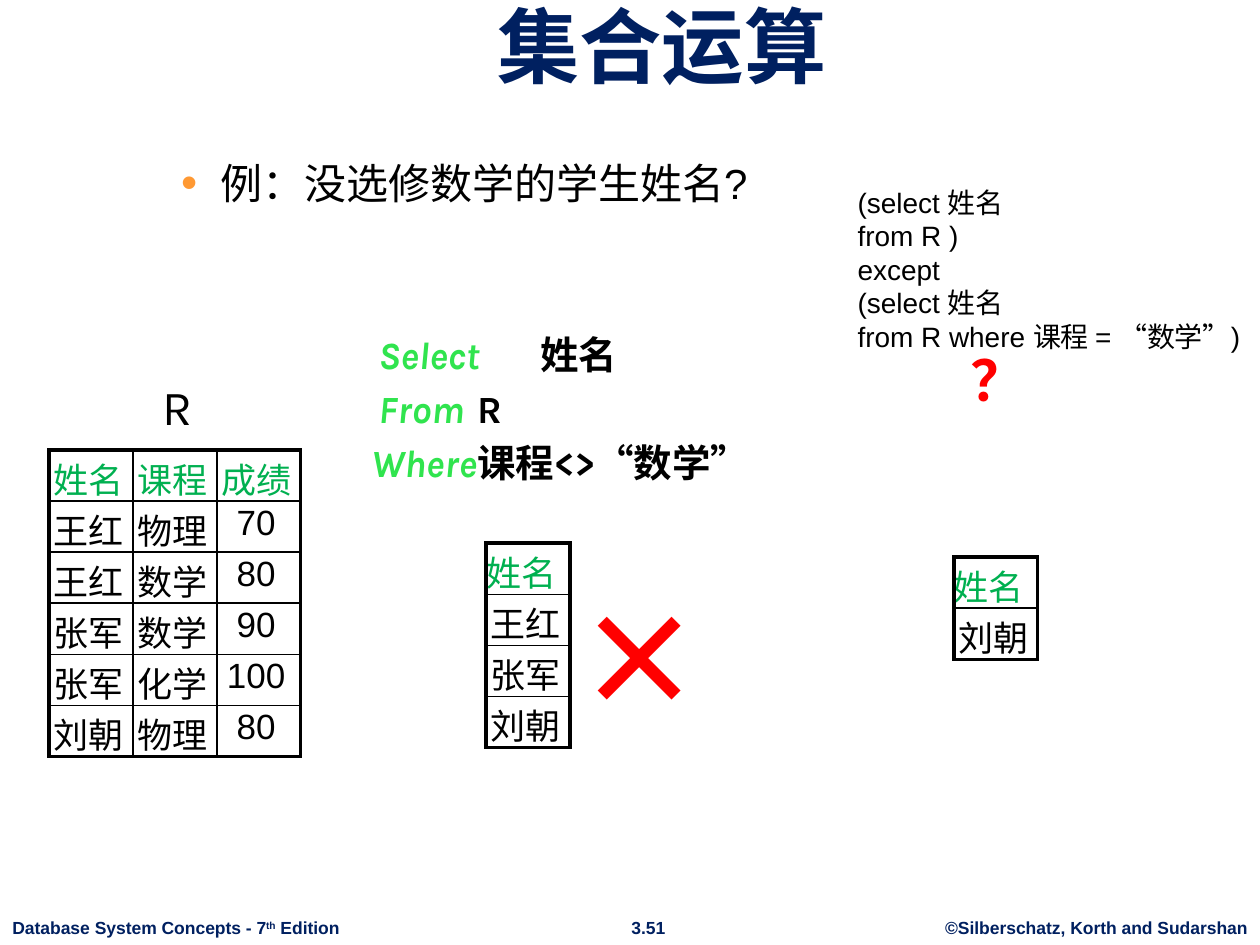
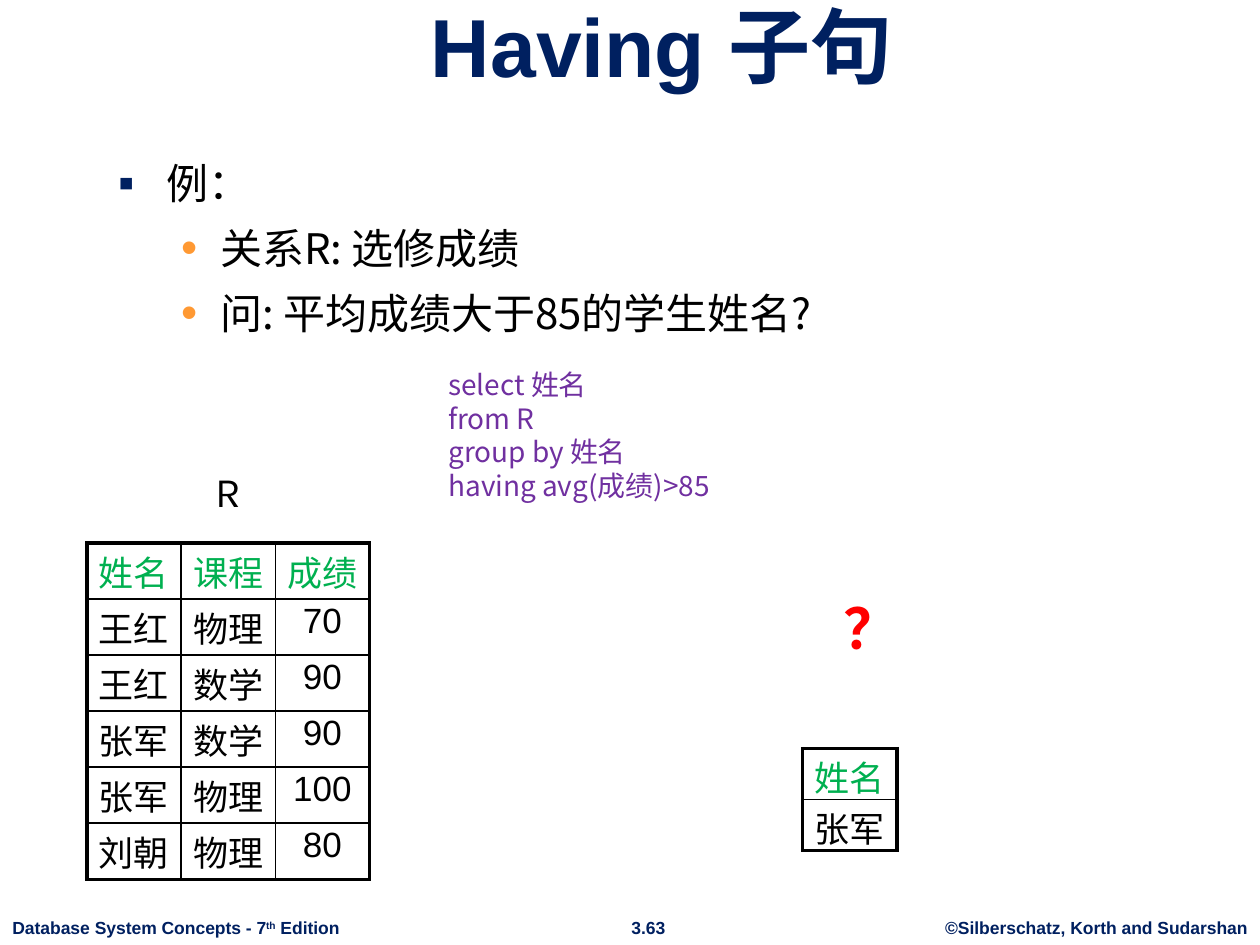
from lxml import etree
from pptx import Presentation
from pptx.dml.color import RGBColor
from pptx.enum.text import MSO_ANCHOR, PP_ALIGN
from pptx.oxml.ns import qn
from pptx.util import Cm, Pt

LEFT, CENTER = PP_ALIGN.LEFT, PP_ALIGN.CENTER
BOTTOM = MSO_ANCHOR.BOTTOM

COLORS = {
    "navy": "002060", "orange": "FF9933", "black": "000000", "white": "FFFFFF",
    "header": "00B050", "keyword": "30E44E", "red": "FF0000", "purple": "7030A0",
}
SANS, ACCENT, CJK, SERIF = "Arial", "Karla", "Noto Sans CJK SC", "Times New Roman"
TITLE_BOX = (2.13, 0.33, 22.43, 1.7)
BODY_BOX = (2.13, 3.05, 21.41, 13.61)
BULLETS = [("▪", "navy", 0.97, 0.97), ("•", "orange", 2.06, 0.79)]
OUTER_LINE, INNER_LINE = Pt(2.25), Pt(1)
ROW_HEIGHT = 1.03


def rgb(name):
    return RGBColor.from_string(COLORS[name])


def add_run(paragraph, text, size, color, font=SANS, bold=False, italic=False):
    run = paragraph.add_run()
    run.text = text
    run.font.name = font
    run.font.size = Pt(size)
    run.font.bold = bold
    run.font.italic = italic
    run.font.color.rgb = rgb(color)
    return run


def place(shape, box):
    shape.left, shape.top, shape.width, shape.height = map(Cm, box)


def add_text_box(slide, box, wrap=True):
    shape = slide.shapes.add_textbox(*map(Cm, box))
    shape.text_frame.word_wrap = wrap
    return shape.text_frame


def next_paragraph(frame, index):
    return frame.add_paragraph() if index else frame.paragraphs[0]


def add_label(slide, box, text, size, color, font=ACCENT, bold=False,
              space=0.5, align=CENTER, wrap=True):
    frame = add_text_box(slide, box, wrap)
    paragraph = frame.paragraphs[0]
    paragraph.alignment = align
    paragraph.space_before = Pt(size * space)
    add_run(paragraph, text, size, color, font, bold)
    return frame


def add_question_mark(slide, left, top):
    frame = add_label(slide, (left, top, 1.65, 1.65), "？", 32, "red",
                      bold=True, space=0.3, wrap=False)
    frame.paragraphs[0].line_spacing = 1.15


def add_title(slide, text):
    title = slide.shapes.title
    place(title, TITLE_BOX)
    frame = title.text_frame
    frame.vertical_anchor = BOTTOM
    frame.paragraphs[0].alignment = CENTER
    add_run(frame.paragraphs[0], text, 47, "navy", bold=True)


def add_footer(slide, number):
    top, height = 18.36, 0.69
    book = add_label(slide, (0, top, 7.14, height), "Database System Concepts - 7",
                     10, "navy", SANS, True, align=LEFT, wrap=False).paragraphs[0]
    ordinal = add_run(book, "th", 10, "navy", bold=True)
    ordinal.font._element.set("baseline", "30000")
    add_run(book, " Edition", 10, "navy", bold=True)
    for left, width, text in [(12.45, 1.24, number),
                              (18.8, 6.6, "©Silberschatz, Korth and Sudarshan")]:
        add_label(slide, (left, top, width, height), text, 10, "navy", SANS,
                  True, wrap=False)


def set_bullet(paragraph, level):
    character, color, margin, hanging = BULLETS[level]
    properties = paragraph._p.get_or_add_pPr()
    properties.set("marL", str(Cm(margin)))
    properties.set("indent", str(-Cm(hanging)))
    bullet_color = etree.SubElement(properties, qn("a:buClr"))
    etree.SubElement(bullet_color, qn("a:srgbClr"), val=COLORS[color])
    etree.SubElement(properties, qn("a:buSzPct"), val="110000")
    etree.SubElement(properties, qn("a:buFont"), typeface=SANS)
    etree.SubElement(properties, qn("a:buChar"), char=character)


def add_bullets(slide, items, font):
    frame = add_text_box(slide, BODY_BOX)
    for index, (level, text) in enumerate(items):
        paragraph = next_paragraph(frame, index)
        paragraph.level = level
        paragraph.space_before = Pt(8.4)
        set_bullet(paragraph, level)
        add_run(paragraph, text, 24, "black", font)


def add_code(slide, box, lines, color, font):
    frame = add_text_box(slide, box)
    for index, line in enumerate(lines):
        add_run(next_paragraph(frame, index), line, 16, color, font)


def add_query(slide, box, clauses):
    """Each clause is an indent in cm, a keyword and the runs after the tab."""
    frame = add_text_box(slide, box)
    for index, (indent, keyword, values) in enumerate(clauses):
        paragraph = next_paragraph(frame, index)
        paragraph.space_before = Pt(4.4)
        properties = paragraph._p.get_or_add_pPr()
        properties.set("marL", "0")
        properties.set("indent", str(Cm(indent)))
        tabs = etree.SubElement(properties, qn("a:tabLst"))
        etree.SubElement(tabs, qn("a:tab"), pos=str(Cm(3.1)), algn="l")
        add_run(paragraph, keyword + "\t", 22, "keyword", ACCENT, True, True)
        for text, font in values:
            add_run(paragraph, text, 22, "black", font, True)


def set_borders(cell, outer_sides):
    """Draw thick lines on the outer sides of the table, thin ones elsewhere."""
    properties = cell._tc.get_or_add_tcPr()
    for index, side in enumerate("LRTB"):
        width = OUTER_LINE if side in outer_sides else INNER_LINE
        line = etree.Element(qn("a:ln" + side), w=str(width))
        fill = etree.SubElement(line, qn("a:solidFill"))
        etree.SubElement(fill, qn("a:srgbClr"), val=COLORS["black"])
        properties.insert(index, line)


def add_relation(slide, left, top, rows, column_width, row_height=ROW_HEIGHT,
                 left_inset=0.0, header_align=CENTER):
    row_count, column_count = len(rows), len(rows[0])
    table = slide.shapes.add_table(
        row_count, column_count, Cm(left), Cm(top),
        Cm(column_width * column_count), Cm(row_height * row_count)).table
    table.horz_banding = False
    for column in table.columns:
        column.width = Cm(column_width)
    for row_index, values in enumerate(rows):
        table.rows[row_index].height = Cm(row_height)
        for column_index, value in enumerate(values):
            cell = table.cell(row_index, column_index)
            cell.margin_left, cell.margin_right = Cm(left_inset), Cm(0.1)
            cell.margin_top = cell.margin_bottom = Cm(0.05)
            cell.fill.solid()
            cell.fill.fore_color.rgb = rgb("white")
            paragraph = cell.text_frame.paragraphs[0]
            paragraph.alignment = CENTER if row_index else header_align
            add_run(paragraph, value, 20, "black" if row_index else "header")
            edges = {"L": column_index == 0, "R": column_index == column_count - 1,
                     "T": row_index == 0, "B": row_index == row_count - 1}
            set_borders(cell, [side for side, outer in edges.items() if outer])


def add_slide(presentation, title, number):
    slide = presentation.slides.add_slide(presentation.slide_layouts[5])
    add_footer(slide, number)
    add_title(slide, title)
    return slide


def build_set_operations(presentation):
    slide = add_slide(presentation, "集合运算", "3.51")
    add_bullets(slide, [(1, "例：没选修数学的学生姓名?")], SANS)
    add_label(slide, (1.98, 7.47, 3.18, 1.45), "R", 28, "black")
    add_relation(slide, 0.99, 9.07, [
        ("姓名", "课程", "成绩"), ("王红", "物理", "70"), ("王红", "数学", "80"),
        ("张军", "数学", "90"), ("张军", "化学", "100"), ("刘朝", "物理", "80"),
    ], 1.69)
    add_relation(slide, 19.23, 11.23, [("姓名",), ("刘朝",)], 1.69,
                 header_align=LEFT)
    add_query(slide, (6.83, 6.55, 9.91, 3.43), [
        (0.55, "Select", [("姓名", ACCENT)]),
        (0.55, "From", [("R", ACCENT)]),
        (0.4, "Where", [("课程<>", ACCENT), ("“", SERIF), ("数学", ACCENT),
                        ("”", SERIF)]),
    ])
    add_relation(slide, 9.8, 10.95, [("姓名",), ("王红",), ("张军",), ("刘朝",)],
                 1.69, header_align=LEFT)
    cross = add_label(slide, (11.63, 11.58, 2.62, 3.3), "×", 72, "red", CJK, True,
                      align=LEFT)
    cross.margin_left = cross.margin_right = 0
    add_question_mark(slide, 19.3, 6.63)
    add_code(slide, (17.04, 3.61, 8.53, 4.37), [
        "(select 姓名", "from R )", "except", "(select 姓名",
        "from R where 课程 = “数学”)"], "black", SANS)


def build_having_clause(presentation):
    slide = add_slide(presentation, "Having 子句", "3.63")
    add_bullets(slide, [(0, "例："), (1, "关系R: 选修成绩"),
                        (1, "问: 平均成绩大于85的学生姓名?")], CJK)
    add_relation(slide, 1.75, 10.95, [
        ("姓名", "课程", "成绩"), ("王红", "物理", "70"), ("王红", "数学", "90"),
        ("张军", "数学", "90"), ("张军", "物理", "100"), ("刘朝", "物理", "80"),
    ], 1.9, row_height=1.13, left_inset=0.1)
    add_label(slide, (3.02, 9.25, 3.18, 1.27), "R", 24, "black")
    add_relation(slide, 16.18, 15.09, [("姓名",), ("张军",)], 1.9, left_inset=0.1)
    add_question_mark(slide, 16.74, 11.63)
    add_code(slide, (8.79, 7.29, 8.1, 3), [
        "select 姓名", "from R", "group by 姓名", "having avg(成绩)>85"],
        "purple", CJK)


def main():
    presentation = Presentation()
    presentation.slide_width, presentation.slide_height = Cm(25.4), Cm(19.05)
    build_set_operations(presentation)
    build_having_clause(presentation)
    presentation.save("out.pptx")


if __name__ == "__main__":
    main()
